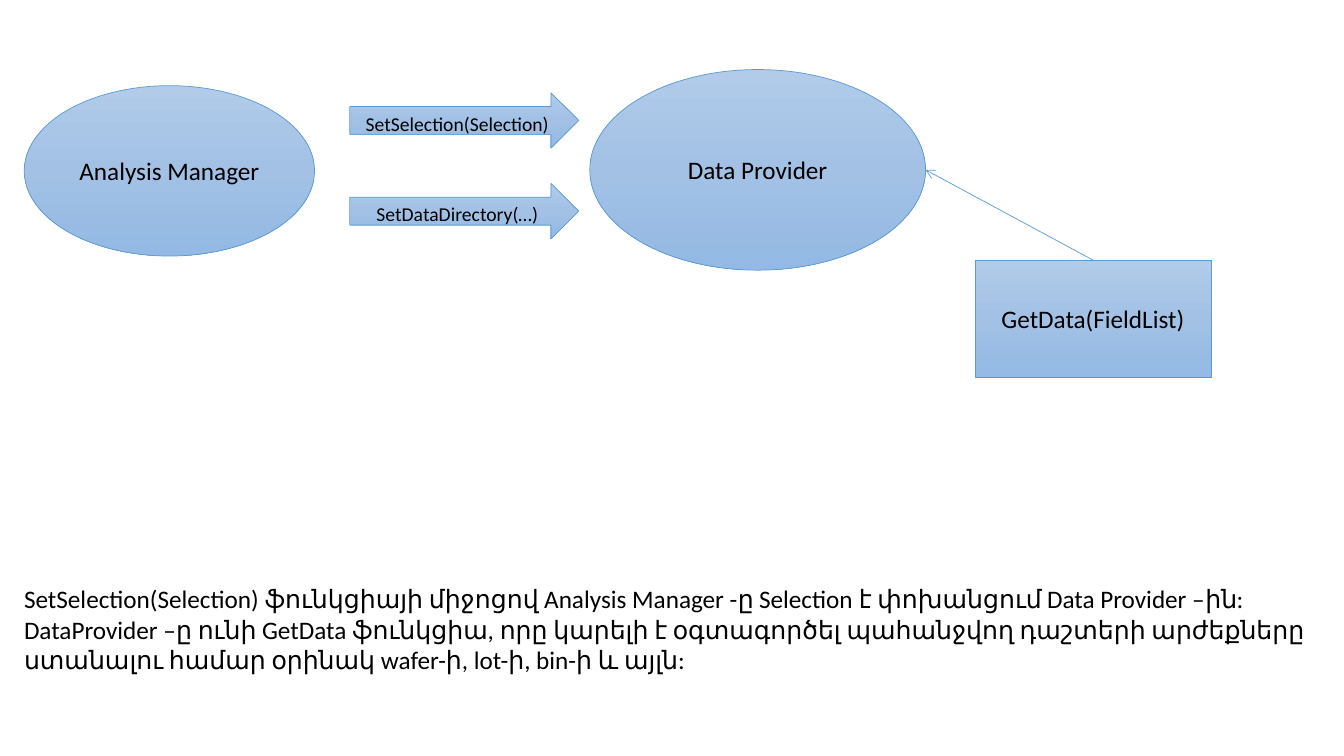
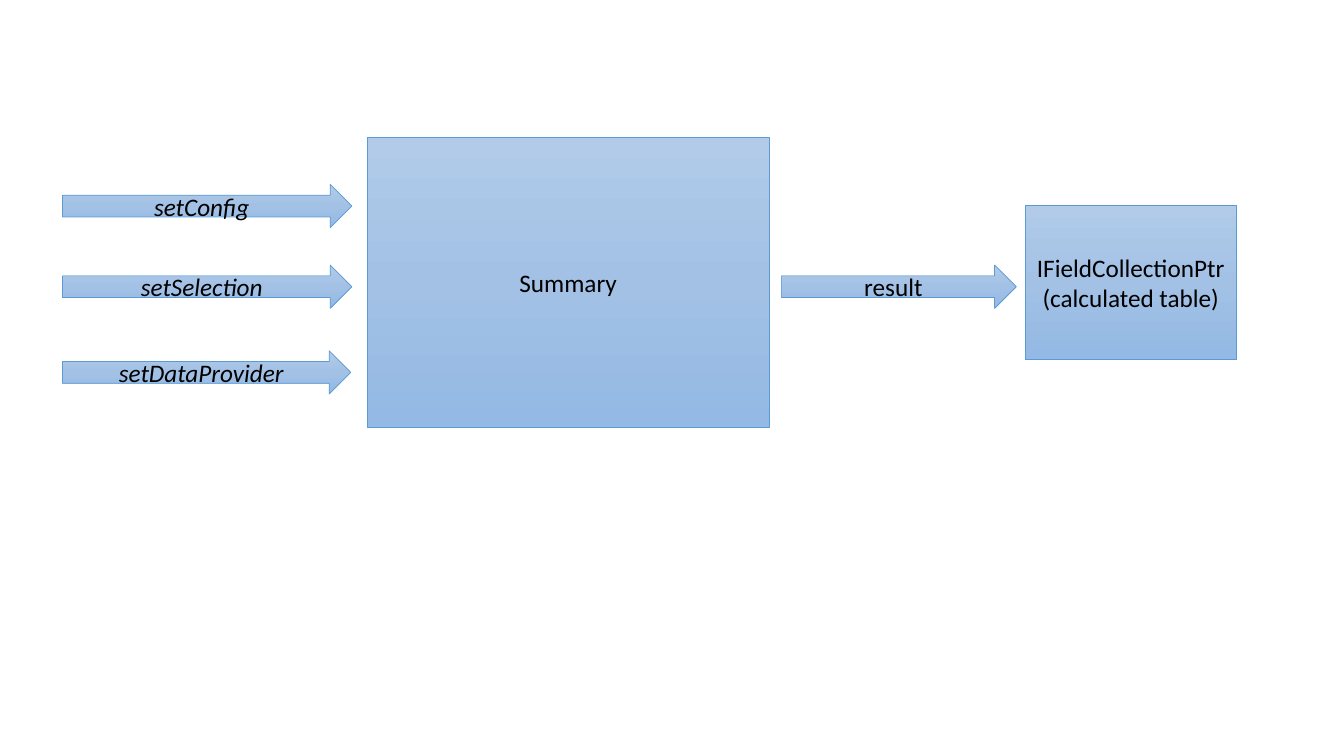
from copy import deepcopy

from lxml import etree
from pptx import Presentation
from pptx.dml.color import RGBColor
from pptx.enum import shapes, text
from pptx.oxml import ns
from pptx.util import Inches, Pt

FONT = "Calibri"
TEXT_COLOR = RGBColor(0x00, 0x00, 0x00)
OUTLINE = RGBColor(0x5B, 0x9B, 0xD5)
GRADIENT = [
    (0, RGBColor(0xB1, 0xCB, 0xE9)),
    (0.5, RGBColor(0xA3, 0xC1, 0xE5)),
    (1, RGBColor(0x93, 0xB9, 0xE4)),
]
LINE_WIDTH = Pt(0.5)
OVAL = shapes.MSO_SHAPE.OVAL
BOX = shapes.MSO_SHAPE.RECTANGLE
ARROW = shapes.MSO_SHAPE.RIGHT_ARROW

EXPLANATION = (
    "SetSelection(Selection) ֆունկցիայի միջոցով Analysis Manager -ը Selection է "
    "փոխանցում Data Provider –ին:\n"
    "DataProvider –ը ունի GetData ֆունկցիա, որը կարելի է օգտագործել պահանջվող "
    "դաշտերի արժեքները ստանալու համար օրինակ wafer-ի, lot-ի, bin-ի և այլն:"
)


def write(frame, words, size=18, italic=False, align=text.PP_ALIGN.CENTER):
    frame.word_wrap = True
    frame.text = words
    for paragraph in frame.paragraphs:
        paragraph.alignment = align
        for run in paragraph.runs:
            run.font.name = FONT
            run.font.size = Pt(size)
            run.font.italic = italic
            run.font.color.rgb = TEXT_COLOR


def fill_gradient(node):
    """Fill from light at the top to darker at the bottom."""
    node.fill.gradient()
    node.fill.gradient_angle = 270
    stop_list = node.element.spPr.find(".//" + ns.qn("a:gsLst"))
    stop_list.append(deepcopy(stop_list[0]))
    for stop, (position, color) in zip(node.fill.gradient_stops, GRADIENT):
        stop.position = position
        stop.color.rgb = color


def add_node(slide, kind, box, label, size=18, italic=False,
             anchor=text.MSO_ANCHOR.MIDDLE):
    node = slide.shapes.add_shape(kind, *map(Inches, box))
    node.shadow.inherit = False
    fill_gradient(node)
    node.line.color.rgb = OUTLINE
    node.line.width = LINE_WIDTH
    node.text_frame.vertical_anchor = anchor
    write(node.text_frame, label, size, italic)
    return node


def add_arrow_stack(slide, box, pitch, labels, **style):
    """Place equal arrows below each other; box is the first arrow."""
    left, top, width, height = box
    for row, label in enumerate(labels):
        add_node(slide, ARROW, (left, top + row * pitch, width, height),
                 label, **style)


def link_to_right_side(slide, source, target):
    """Draw an arrow from the top of source to the right side of target."""
    link = slide.shapes.add_connector(
        shapes.MSO_CONNECTOR.STRAIGHT,
        source.left + source.width // 2, source.top,
        target.left + target.width, target.top + target.height // 2)
    link.line.color.rgb = OUTLINE
    link.line.width = LINE_WIDTH
    outline = link.line._get_or_add_ln()
    etree.SubElement(outline, ns.qn("a:tailEnd"), type="arrow")
    etree.SubElement(link.element.spPr, ns.qn("a:effectLst"))


def add_explanation(slide, box):
    note = slide.shapes.add_textbox(*map(Inches, box))
    write(note.text_frame, EXPLANATION, align=text.PP_ALIGN.LEFT)
    note.text_frame.auto_size = text.MSO_AUTO_SIZE.SHAPE_TO_FIT_TEXT


def build_provider_slide(slide):
    add_explanation(slide, (0.14, 5.74, 13, 1.01))
    provider = add_node(slide, OVAL, (5.85, 0.69, 3.33, 1.99), "Data Provider")
    get_data = add_node(slide, BOX, (9.67, 2.58, 2.34, 1.16),
                        "GetData(FieldList)")
    add_node(slide, OVAL, (0.24, 0.85, 2.88, 1.69), "Analysis Manager")
    add_arrow_stack(slide, (3.47, 0.92, 2.27, 0.55), 0.9,
                    ["SetSelection(Selection)", "SetDataDirectory(…)"],
                    size=14, anchor=text.MSO_ANCHOR.TOP)
    link_to_right_side(slide, get_data, provider)


def build_summary_slide(slide):
    add_node(slide, BOX, (3.64, 1.36, 3.99, 2.88), "Summary")
    add_arrow_stack(slide, (0.62, 1.83, 2.87, 0.43), 0.8,
                    ["setConfig", "setSelection"], italic=True)
    add_node(slide, ARROW, (0.62, 3.48, 2.86, 0.43), "setDataProvider",
             italic=True)
    add_node(slide, ARROW, (7.75, 2.63, 2.33, 0.43), "result")
    add_node(slide, BOX, (10.17, 2.04, 2.09, 1.53),
             "IFieldCollectionPtr\n(calculated table)")


def main():
    deck = Presentation()
    deck.slide_width = Inches(13.33)
    deck.slide_height = Inches(7.5)
    blank = deck.slide_layouts[6]
    for build in (build_provider_slide, build_summary_slide):
        build(deck.slides.add_slide(blank))
    deck.save("out.pptx")


if __name__ == "__main__":
    main()
